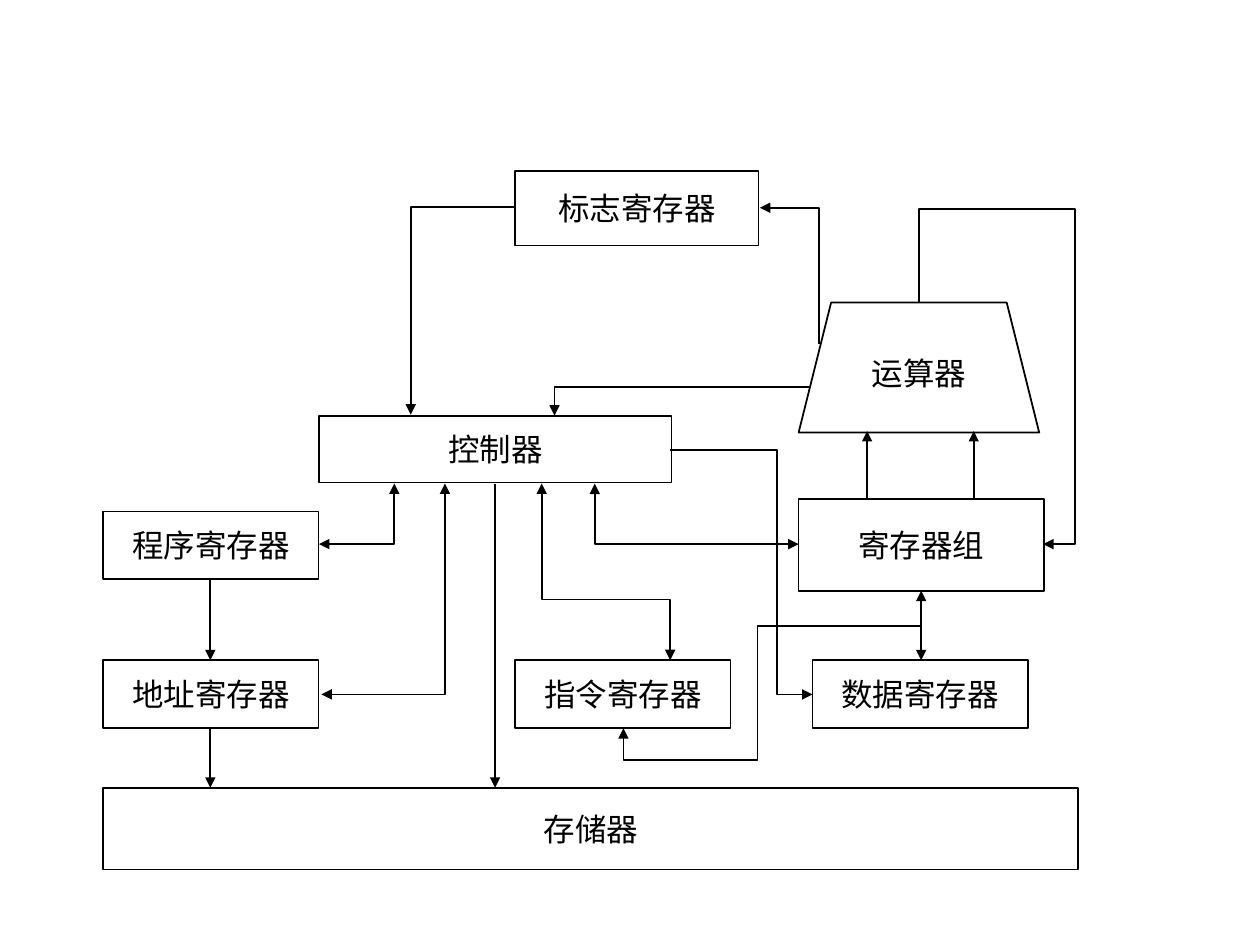
"""Draw the block diagram of a processor and its registers."""
import pptx
import pptx.dml.color
import pptx.enum.shapes
import pptx.enum.text
import pptx.oxml.ns
import pptx.oxml.xmlchemy
import pptx.util
from lxml import etree

Cm = pptx.util.Cm
Pt = pptx.util.Pt
Kind = pptx.enum.shapes.MSO_SHAPE
Link = pptx.enum.shapes.MSO_CONNECTOR
qn = pptx.oxml.ns.qn

BLACK, WHITE = "000000", "FFFFFF"
FONT, SIZE = "Calibri", 18
LEFT, MID = 2.08, 10.39
ROW, LOW, FOOT = 13.31, 14.68, 15.88
BASE = 9.75
WIDE, HIGH = 4.34, 1.37

BOXES = [
    ("标志寄存器", MID, 3.45, 4.9, 1.5),
    ("寄存器组", 16.1, 10.06, 4.95, 1.85),
    ("控制器", 6.43, 8.38, 7.11, 1.35),
    ("程序寄存器", LEFT, 10.31, WIDE, HIGH),
    ("地址寄存器", LEFT, ROW, WIDE, HIGH),
    ("指令寄存器", MID, ROW, WIDE, HIGH),
    ("数据寄存器", 16.38, ROW, WIDE, HIGH),
    ("存储器", LEFT, FOOT, 19.66, 1.65),
]

LINES = [
    (17.48, 10.06, 8.69, False),
    (19.63, 10.06, 8.69, False),
    (18.57, 11.91, ROW, True),
    (4.24, 11.66, ROW, False),
    (4.24, LOW, FOOT, False),
    (9.98, BASE, FOOT, False),
]

FLAT = [
    ((16.31, 7.8), (11.18, 8.38), [11.18], False),
    ((11.99, BASE), (16.1, 10.97), [11.99], True),
    ((18.57, 12.62), (12.57, LOW), [15.27, 15.32], False),
    ((13.51, 9.07), (16.38, 14), [15.67], False),
    ((6.43, 10.97), (7.95, BASE), [7.95], True),
    ((6.48, 14), (8.97, BASE), [], True),
]

STEEP = [
    ((16.51, 6.93), (15.32, 4.19), [], False),
    ((18.52, 6.1), (21.03, 10.97), [4.22, 21.67], False),
    ((MID, 4.17), (8.28, 8.36), [4.17], False),
    ((13.51, ROW), (10.92, BASE), [12.09], True),
]


def tint(code):
    return pptx.dml.color.RGBColor.from_string(code)


def box(slide, text, x, y, w, h, kind=Kind.RECTANGLE):
    shape = slide.shapes.add_shape(kind, Cm(x), Cm(y), Cm(w), Cm(h))
    shape.shadow.inherit = False
    shape.fill.solid()
    shape.fill.fore_color.rgb = tint(WHITE)
    shape.line.color.rgb = tint(BLACK)
    shape.line.width = Pt(1)
    frame = shape.text_frame
    frame.vertical_anchor = pptx.enum.text.MSO_ANCHOR.MIDDLE
    para = frame.paragraphs[0]
    para.alignment = pptx.enum.text.PP_ALIGN.CENTER
    run = para.add_run()
    run.text = text
    run.font.name = FONT
    run.font.size = Pt(SIZE)
    run.font.color.rgb = tint(BLACK)


def arrow(slide, kind, start, end, both):
    ends = [Cm(v) for v in (*start, *end)]
    wire = slide.shapes.add_connector(kind, *ends)
    wire.line.color.rgb = tint(BLACK)
    wire.line.width = Pt(1)
    edge = wire.line._get_or_add_ln()
    for tag in ["a:headEnd", "a:tailEnd"] if both else ["a:tailEnd"]:
        etree.SubElement(edge, qn(tag), type="triangle")
    etree.SubElement(wire._element.spPr, qn("a:effectLst"))
    return wire


def bend(slide, start, end, turns, both, steep):
    (x, y), (u, v) = start, end
    dx, dy = u - x, v - y
    spin = 0
    first, last = start, end
    if steep:
        spin = 90 if dx < 0 < dy else 270
        a, b = (dy, -dx) if spin == 90 else (-dy, dx)
        cx, cy = (x + u) / 2, (y + v) / 2
        first = cx - a / 2, cy - b / 2
        last = cx + a / 2, cy + b / 2
    wire = arrow(slide, Link.ELBOW, first, last, both)
    props = wire._element.spPr
    if spin:
        props.find(qn("a:xfrm")).set("rot", str(spin * 60000))
    geom = props.find(qn("a:prstGeom"))
    geom.set("prst", f"bentConnector{len(turns) + 2}")
    guides = geom.find(qn("a:avLst"))
    axes = [(x, dx), (y, dy)]
    if steep:
        axes.reverse()
    for i, (turn, (base, span)) in enumerate(zip(turns, axes), 1):
        value = round((turn - base) / span * 100000)
        etree.SubElement(guides, qn("a:gd"), name=f"adj{i}", fmla=f"val {value}")


def main():
    deck = pptx.Presentation()
    deck.slide_width, deck.slide_height = Cm(25.4), Cm(19.05)
    slide = deck.slides.add_slide(deck.slide_layouts[6])
    box(slide, "运算器", 16.1, 6.1, 4.85, 2.62, Kind.TRAPEZOID)
    for item in BOXES:
        box(slide, *item)
    for x, top, end, both in LINES:
        arrow(slide, Link.STRAIGHT, (x, top), (x, end), both)
    for group, steep in ((FLAT, False), (STEEP, True)):
        for item in group:
            bend(slide, *item, steep)
    deck.save("out.pptx")


main()
